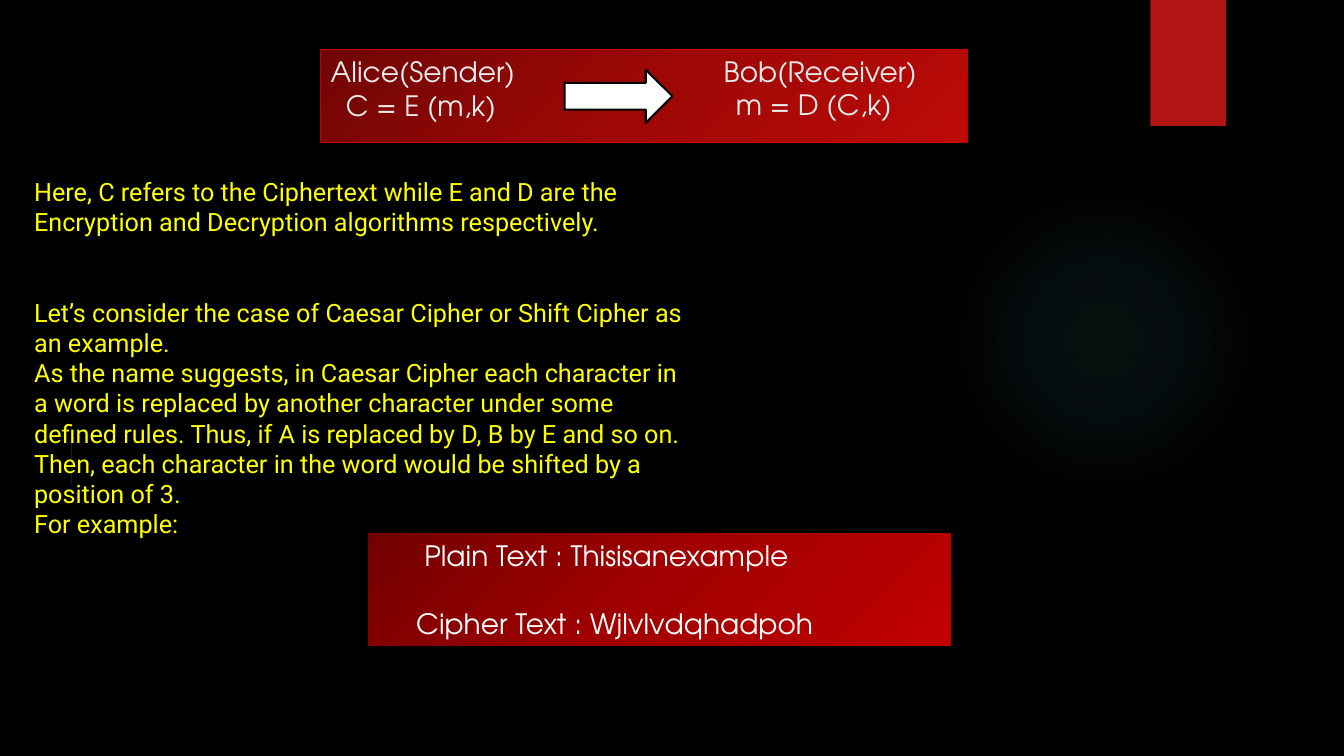
from lxml import etree
from pptx import Presentation
from pptx.dml.color import RGBColor
from pptx.enum.shapes import MSO_SHAPE as Shape
from pptx.enum.text import MSO_ANCHOR as Anchor, MSO_AUTO_SIZE as AutoSize, PP_ALIGN as Align
from pptx.oxml.ns import qn
from pptx.util import Inches, Pt

BLACK = RGBColor(0, 0, 0)
WHITE = RGBColor(0xFF, 0xFF, 0xFF)
PALE = RGBColor(0xEB, 0xEB, 0xEB)
GREY = RGBColor(0xE0, 0xE0, 0xE0)
YELLOW = RGBColor(0xFF, 0xFF, 0)
RIBBON_RED = RGBColor(0xB0, 0x15, 0x13)
BORDER_RED = RGBColor(0xC0, 0, 0)
GLOW = RGBColor(0x50, 0xB9, 0xC1)
TITLE_REDS = [RGBColor(0x6F, 6, 4), RGBColor(0x9E, 8, 6), RGBColor(0xBC, 0x0A, 7)]
EXAMPLE_REDS = [RGBColor(0x72, 0, 0), RGBColor(0xA2, 0, 0), RGBColor(0xC0, 0, 0)]
HEADING_FONT = "TeX Gyre Adventor"


def fill_gradient(shape, stops, circular=False):
    """Fill with (position %, colour, opacity %) stops, at 45 degrees or from the centre."""
    shape.fill.gradient()
    grad = shape._element.spPr.find(qn("a:gradFill"))
    for child in list(grad):
        grad.remove(child)
    stop_list = etree.SubElement(grad, qn("a:gsLst"))
    for position, color, opacity in stops:
        stop = etree.SubElement(stop_list, qn("a:gs"), pos=str(position * 1000))
        rgb = etree.SubElement(stop, qn("a:srgbClr"), val=str(color))
        if opacity < 100:
            etree.SubElement(rgb, qn("a:alpha"), val=str(opacity * 1000))
    if circular:
        centre = etree.SubElement(grad, qn("a:path"), path="circle")
        etree.SubElement(centre, qn("a:fillToRect"), l="50000", t="50000", r="50000", b="50000")
    else:
        etree.SubElement(grad, qn("a:lin"), ang="2700000", scaled="0")


def write(frame, text, font, size, color, before=0, indent=0):
    """Add a left-aligned paragraph; indent is in inches, before in points."""
    para = frame.paragraphs[0]
    if para.runs:
        para = frame.add_paragraph()
    para.alignment = Align.LEFT
    para.line_spacing = 1.0
    para.space_before = Pt(before)
    run = para.add_run()
    run.text = text
    run.font.name, run.font.size = font, Pt(size)
    run.font.color.rgb = color
    props = para._p.get_or_add_pPr()
    props.set("marL", str(Inches(indent)))
    props.set("indent", "0")


prs = Presentation()
prs.slide_width, prs.slide_height = Inches(13.33), Inches(7.5)
slide = prs.slides.add_slide(prs.slide_layouts[5])
slide.background.fill.solid()
slide.background.fill.fore_color.rgb = BLACK

# Decoration, message arrow and example panel
panels = []
for kind, left, top, width, height, color in [
    (Shape.OVAL, 9.41, 1.83, 3.08, 3.08, GLOW),
    (Shape.RECTANGLE, 11.41, 0, 0.75, 1.25, RIBBON_RED),
    (Shape.RECTANGLE, 0.71, 4.25, 0, 0.56, GREY),
    (Shape.RECTANGLE, 3.65, 5.29, 5.78, 1.11, BORDER_RED),
    (Shape.RIGHT_ARROW, 5.6, 0.69, 1.07, 0.53, WHITE),
]:
    panel = slide.shapes.add_shape(kind, Inches(left), Inches(top), Inches(width), Inches(height))
    panel.shadow.inherit = False
    panel.fill.solid()
    panel.fill.fore_color.rgb = color
    panel.line.fill.background()
    panels.append(panel)
glow, ribbon, divider, example, arrow = panels
fill_gradient(glow, [(0, GLOW, 7), (36, GLOW, 6), (69, GLOW, 0)], circular=True)
fill_gradient(example, [(i * 50, red, 100) for i, red in enumerate(EXAMPLE_REDS)])
arrow.line.color.rgb = BLACK
arrow.line.width = Pt(1.5)

# Sender in the title, receiver in a box over its right part
title = slide.shapes.title
title.left, title.top = Inches(3.18), Inches(0.49)
title.width, title.height = Inches(6.42), Inches(0.92)
fill_gradient(title, [(i * 50, red, 100) for i, red in enumerate(TITLE_REDS)])
title.line.color.rgb = BORDER_RED
title.line.width = Pt(0.75)
receiver = slide.shapes.add_textbox(Inches(7.08), Inches(0.49), Inches(2.5), Inches(0.92))
for party, name, formula, indent in [
    (title, "Alice(Sender)", "C = E (m,k)", 0.15),
    (receiver, "Bob(Receiver)", "m = D (C,k)", 0.12),
]:
    frame = party.text_frame
    frame.word_wrap = True
    frame.auto_size = AutoSize.NONE
    frame.vertical_anchor = Anchor.TOP
    write(frame, name, HEADING_FONT, 20, PALE)
    write(frame, formula, HEADING_FONT, 20, PALE, indent=indent)

# Explanation
explanation = slide.shapes.add_textbox(Inches(0.24), Inches(1.7), Inches(6.67), Inches(3.74)).text_frame
explanation.word_wrap = True
for text, before in [
    ("Here, C refers to the Ciphertext while E and D are the Encryption and Decryption "
     "algorithms respectively.", 0),
    ("Let’s consider the case of Caesar Cipher or Shift Cipher as an example.", 43),
    ("As the name suggests, in Caesar Cipher each character in a word is replaced by another "
     "character under some defined rules. Thus, if A is replaced by D, B by E and so on. Then, "
     "each character in the word would be shifted by a position of 3.", 0),
    ("For example:", 0),
]:
    write(explanation, text, "Roboto", 18, YELLOW, before=before)

# Worked example
example.text_frame.vertical_anchor = Anchor.MIDDLE
write(example.text_frame, "Plain Text : Thisisanexample", HEADING_FONT, 20, WHITE, indent=0.46)
write(example.text_frame, "Cipher Text : Wjlvlvdqhadpoh", HEADING_FONT, 20, WHITE, before=24, indent=0.38)

prs.save("out.pptx")
